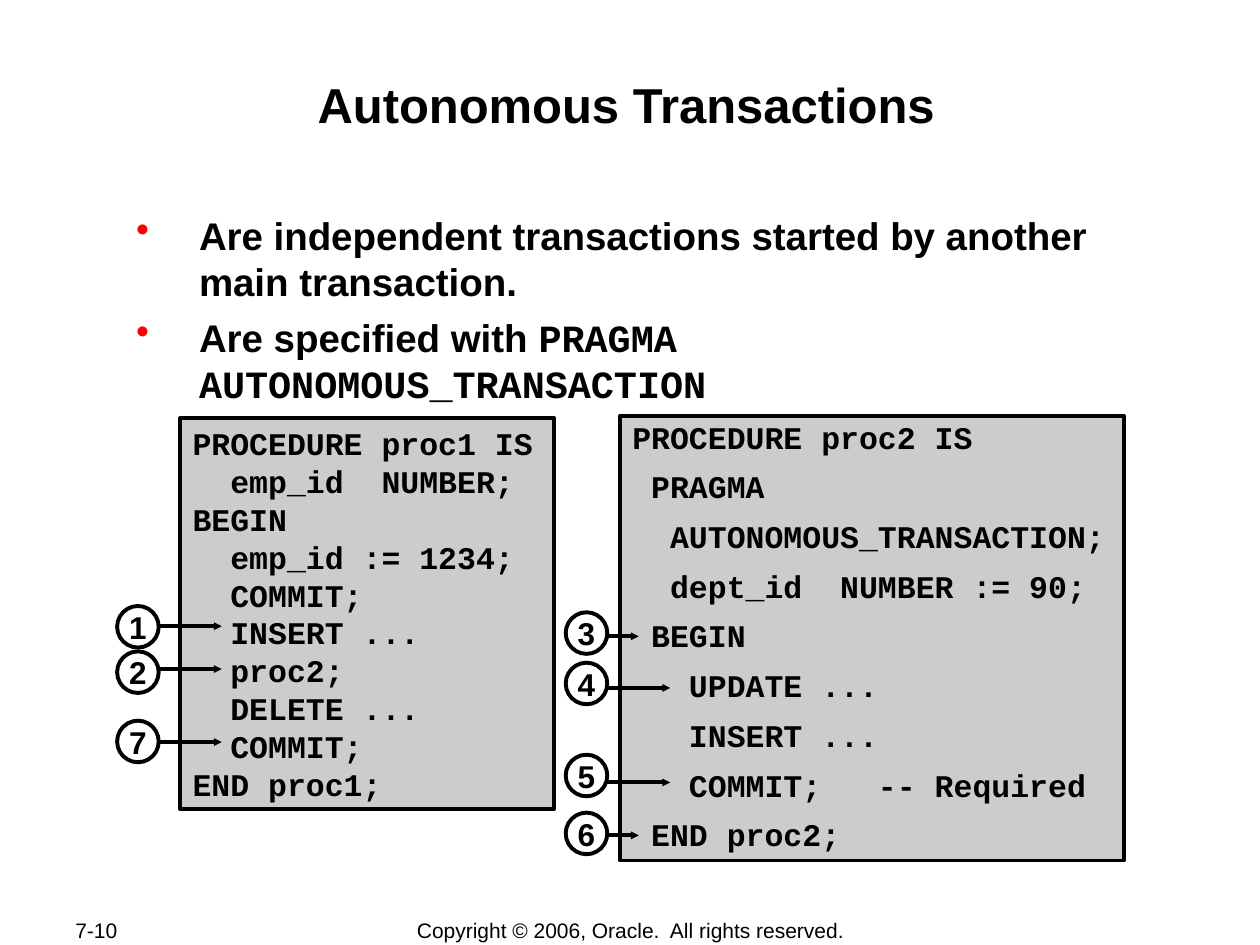
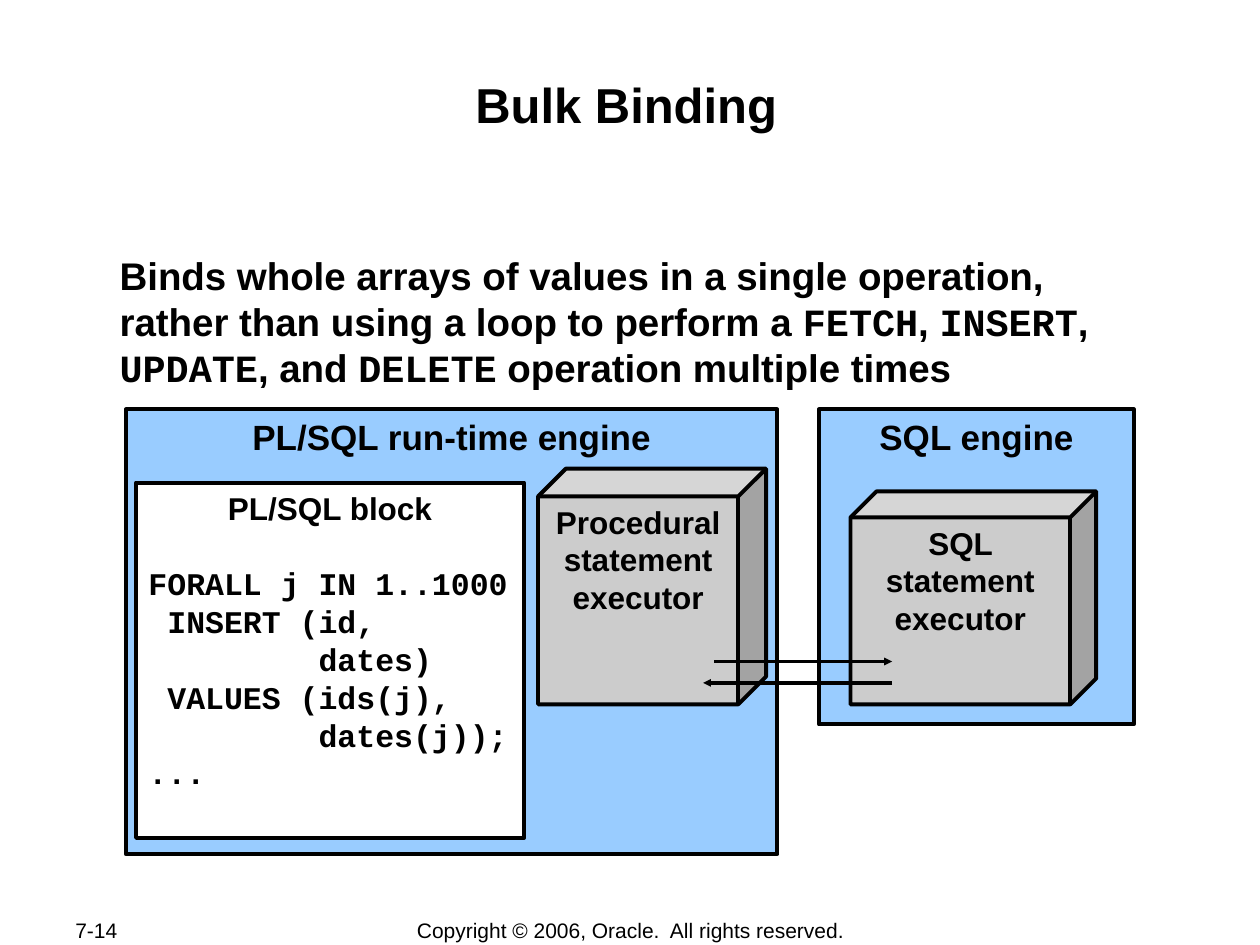
from lxml import etree
from pptx import Presentation
from pptx.dml.color import RGBColor
from pptx.enum.shapes import MSO_CONNECTOR, MSO_SHAPE
from pptx.enum.text import MSO_ANCHOR, PP_ALIGN
from pptx.oxml.ns import qn
from pptx.util import Inches, Pt

RECT, CUBE, OVAL = MSO_SHAPE.RECTANGLE, MSO_SHAPE.CUBE, MSO_SHAPE.OVAL
STRAIGHT = MSO_CONNECTOR.STRAIGHT
LEFT, CENTER = PP_ALIGN.LEFT, PP_ALIGN.CENTER
TOP, MIDDLE = MSO_ANCHOR.TOP, MSO_ANCHOR.MIDDLE

COLORS = {"ink": "000000", "paper": "FFFFFF", "panel": "CCCCCC",
          "engine": "99CCFF", "bullet": "FF0000"}
SANS, MONO = "Arial", "Courier New"
LINE_WIDTH = Pt(2.25)
BADGE_SIZE = 0.33
COPYRIGHT = "Copyright © 2006, Oracle.  All rights reserved."

# Text formats
TITLE = {"size": Pt(28), "bold": True, "name": SANS}
BODY = {"size": Pt(22), "bold": True, "name": SANS}
ENGINE = {"size": Pt(20), "bold": True, "name": SANS}
LABEL = {"size": Pt(18), "bold": True, "name": SANS}
CODE = {"size": Pt(18), "bold": True, "name": MONO}
FOOTER = {"size": Pt(12), "bold": False, "name": SANS}

PROC1 = """PROCEDURE proc1 IS
  emp_id  NUMBER;
BEGIN
  emp_id := 1234;
  COMMIT;
  INSERT ...
  proc2;
  DELETE ...
  COMMIT;
END proc1;"""

PROC2 = """PROCEDURE proc2 IS
 PRAGMA
  AUTONOMOUS_TRANSACTION;
  dept_id  NUMBER := 90;
 BEGIN
   UPDATE ...
   INSERT ...
   COMMIT;   -- Required
 END proc2;"""

FORALL = """FORALL j IN 1..1000
 INSERT (id,
         dates)
 VALUES (ids(j),
         dates(j));
..."""

# Steps: number, badge left and top, arrow height, arrow length
STEPS = [
    ("1", 0.93, 4.81, 4.97, 0.5),
    ("2", 0.93, 5.17, 5.31, 0.5),
    ("7", 0.93, 5.72, 5.89, 0.5),
    ("3", 4.49, 4.86, 5.05, 0.25),
    ("4", 4.49, 5.26, 5.46, 0.5),
    ("5", 4.49, 5.99, 6.21, 0.5),
    ("6", 4.49, 6.45, 6.63, 0.25),
]


def rgb(color):
    return RGBColor.from_string(COLORS[color])


def set_values(target, values):
    for attribute, value in values.items():
        setattr(target, attribute, value)


def prepare_frame(shape, inset=(0.1, 0.05), anchor=TOP):
    across, down = (Inches(value) for value in inset)
    frame = shape.text_frame
    set_values(frame, {"word_wrap": True, "vertical_anchor": anchor,
                       "margin_left": across, "margin_right": across,
                       "margin_top": down, "margin_bottom": down})
    return frame


def add_bullet(paragraph):
    properties = paragraph._p.get_or_add_pPr()
    properties.set("marL", str(Inches(0.63)))
    properties.set("indent", str(Inches(-0.5)))
    color = etree.SubElement(properties, qn("a:buClr"))
    etree.SubElement(color, qn("a:srgbClr"), val=COLORS["bullet"])
    etree.SubElement(properties, qn("a:buChar"), char="•")


def write(frame, lines, style, align=LEFT, bullets=False, gap=0, spacing=None):
    """Fill the frame; words between backticks are set in the code font."""
    for line in lines:
        first = not frame.paragraphs[0].runs
        paragraph = frame.paragraphs[0] if first else frame.add_paragraph()
        if bullets:
            add_bullet(paragraph)
        paragraph.alignment = align
        if not first:
            paragraph.space_before = Pt(gap)
        if spacing:
            paragraph.line_spacing = spacing
        for index, part in enumerate(line.split("`")):
            run = paragraph.add_run()
            run.text = part
            set_values(run.font, style)
            run.font.color.rgb = rgb("ink")
            if index % 2:
                run.font.name = MONO


def add_text(slide, box, lines, style, inset=(0.01, 0.01), anchor=TOP, **layout):
    text = slide.shapes.add_textbox(*map(Inches, box))
    write(prepare_frame(text, inset, anchor), lines, style, **layout)


def add_panel(slide, kind, box, fill, inset=(0.1, 0.05), anchor=TOP):
    panel = slide.shapes.add_shape(kind, *map(Inches, box))
    panel.shadow.inherit = False
    if fill:
        panel.fill.solid()
        panel.fill.fore_color.rgb = rgb(fill)
    else:
        panel.fill.background()
    panel.line.color.rgb = rgb("ink")
    panel.line.width = LINE_WIDTH
    if kind == CUBE:
        panel.adjustments[0] = 0.122
    return prepare_frame(panel, inset, anchor)


def add_arrow(slide, start, end, y):
    arrow = slide.shapes.add_connector(
        STRAIGHT, Inches(start), Inches(y), Inches(end), Inches(y))
    arrow.line.color.rgb = rgb("ink")
    arrow.line.width = LINE_WIDTH
    etree.SubElement(arrow.line._get_or_add_ln(), qn("a:tailEnd"),
                     type="triangle", w="sm", len="sm")
    etree.SubElement(arrow._element.spPr, qn("a:effectLst"))


def add_step(slide, number, left, top, arrow_y, length):
    badge = add_panel(slide, OVAL, (left, top, BADGE_SIZE, BADGE_SIZE), None,
                      inset=(0, 0), anchor=MIDDLE)
    write(badge, [number], LABEL, CENTER)
    start = left + BADGE_SIZE
    add_arrow(slide, start, start + length, arrow_y)


def add_base_slide(deck, title, page):
    slide = deck.slides.add_slide(deck.slide_layouts[6])
    slide.background.fill.solid()
    slide.background.fill.fore_color.rgb = rgb("paper")
    add_text(slide, (0.97, 0.58, 8, 0.96), [title], TITLE, align=CENTER)
    for box, text, align in (((0.5, 7.28, 1.06, 0.2), page, LEFT),
                             ((2.76, 7.28, 4.49, 0.21), COPYRIGHT, CENTER)):
        add_text(slide, box, [text], FOOTER, inset=(0.1, 0.05), anchor=MIDDLE,
                 align=align)
    return slide


def build_transactions(deck):
    slide = add_base_slide(deck, "Autonomous Transactions", "7-10")
    # Code of both procedures
    proc1 = add_panel(slide, RECT, (1.43, 3.32, 2.97, 3.1), "panel")
    write(proc1, PROC1.splitlines(), CODE)
    proc2 = add_panel(slide, RECT, (4.92, 3.3, 4, 3.53), "panel")
    write(proc2, PROC2.splitlines(), CODE, gap=7.9, spacing=0.95)
    proc2.paragraphs[0].line_spacing = 0.9
    # Statements
    add_text(slide, (0.94, 1.67, 8.06, 1.57), [
        "Are independent transactions started by another main transaction.",
        "Are specified with `PRAGMA AUTONOMOUS_TRANSACTION`",
    ], BODY, bullets=True, gap=5.5)
    # Order of execution
    for step in STEPS:
        add_step(slide, *step)


def build_binding(deck):
    slide = add_base_slide(deck, "Bulk Binding", "7-14")
    add_text(slide, (0.94, 1.99, 8.06, 1.13), [
        "Binds whole arrays of values in a single operation, rather than using "
        "a loop to perform a `FETCH`, `INSERT`, `UPDATE`, and `DELETE` "
        "operation multiple times"], BODY)
    # Engines and their executors
    for kind, box, fill, text, style in (
            (RECT, (6.5, 3.25, 2.5, 2.5), "engine", "SQL engine", ENGINE),
            (RECT, (1, 3.25, 5.17, 3.53), "engine", "PL/SQL run-time engine", ENGINE),
            (CUBE, (6.75, 3.9, 1.95, 1.69), "panel", "SQL statement executor", LABEL),
            (CUBE, (4.27, 3.72, 1.81, 1.87), "panel",
             "Procedural statement executor", LABEL)):
        write(add_panel(slide, kind, box, fill), [text], style, CENTER)
    # Block of code
    block = add_panel(slide, RECT, (1.08, 3.83, 3.08, 2.82), "paper")
    write(block, ["PL/SQL block"], LABEL, CENTER)
    write(block, FORALL.splitlines(), CODE)
    block.paragraphs[1].space_before = Pt(21.6)
    # Exchange between the engines
    add_arrow(slide, 5.67, 7.08, 5.25)
    add_arrow(slide, 7.08, 5.58, 5.42)


def main():
    deck = Presentation()
    deck.slide_width, deck.slide_height = Inches(10), Inches(7.5)
    build_transactions(deck)
    build_binding(deck)
    deck.save("out.pptx")


if __name__ == "__main__":
    main()
